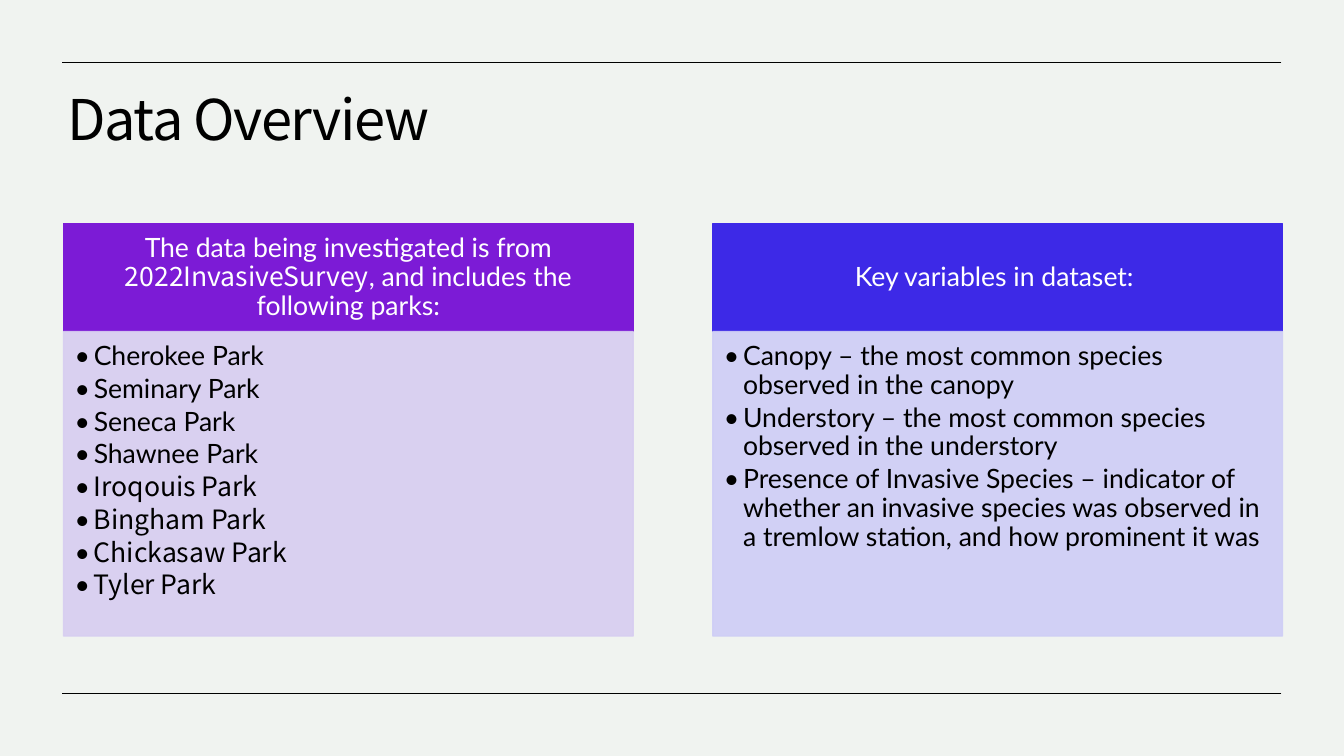
import pptx
import pptx.dml.color
import pptx.enum.shapes
import pptx.enum.text
import pptx.oxml.ns
import pptx.util
from lxml import etree

Inches = pptx.util.Inches
Pt = pptx.util.Pt
RGBColor = pptx.dml.color.RGBColor
PP_ALIGN = pptx.enum.text.PP_ALIGN
MSO_ANCHOR = pptx.enum.text.MSO_ANCHOR
qn = pptx.oxml.ns.qn

BACKGROUND = RGBColor(0xF0, 0xF3, 0xF0)
BLACK = RGBColor(0, 0, 0)
WHITE = RGBColor(0xFF, 0xFF, 0xFF)
PURPLE = RGBColor(0x7C, 0x1B, 0xD6)
PALE_PURPLE = RGBColor(0xD7, 0xCD, 0xF0)
BLUE = RGBColor(0x3D, 0x29, 0xE7)
PALE_BLUE = RGBColor(0xCE, 0xCD, 0xF6)
LATO = "Lato"
NOTO = "Noto Sans CJK KR"

COLUMN_WIDTH = 5.65
HEADER_TOP, HEADER_HEIGHT = 2.22, 1.07
BODY_HEIGHT = 3.02

# Each column: left, header colour, body colour, header runs, bullets
COLUMNS = [
    (0.63, PURPLE, PALE_PURPLE,
     [("The data being investigated is from ", LATO),
      ("2022InvasiveSurvey", NOTO),
      (", and includes the following parks:", LATO)],
     [("Cherokee Park", LATO), ("Seminary Park", LATO),
      ("Seneca Park", LATO), ("Shawnee Park", LATO),
      ("Iroqouis Park", NOTO), ("Bingham Park", NOTO),
      ("Chickasaw Park", NOTO), ("Tyler Park", NOTO)]),
    (7.07, BLUE, PALE_BLUE,
     [("Key variables in dataset: ", LATO)],
     [("Canopy – the most common species observed in the canopy", LATO),
      ("Understory – the most common species observed in the understory", LATO),
      ("Presence of Invasive Species – indicator of whether an invasive species "
       "was observed in a tremlow station, and how prominent it was", LATO)]),
]


def add_panel(left, top, height, color, insets, anchor):
    panel = slide.shapes.add_shape(
        pptx.enum.shapes.MSO_SHAPE.RECTANGLE,
        Inches(left), Inches(top), Inches(COLUMN_WIDTH), Inches(height))
    panel.shadow.inherit = False
    panel.fill.solid()
    panel.fill.fore_color.rgb = color
    panel.line.color.rgb = color
    panel.line.width = Pt(1)
    frame = panel.text_frame
    frame.word_wrap = True
    frame.vertical_anchor = anchor
    (frame.margin_left, frame.margin_top,
     frame.margin_right, frame.margin_bottom) = map(Inches, insets)
    return panel


def add_run(paragraph, text, font, size, color):
    run = paragraph.add_run()
    run.text = text
    run.font.name = font
    run.font.size = Pt(size)
    run.font.color.rgb = color
    return run


prs = pptx.Presentation()
prs.slide_width = Inches(13.33)
prs.slide_height = Inches(7.5)
slide = prs.slides.add_slide(prs.slide_layouts[6])
slide.background.fill.solid()
slide.background.fill.fore_color.rgb = BACKGROUND

title = slide.shapes.add_textbox(Inches(0.57), Inches(0.86), Inches(12.15), Inches(1.15))
title.text_frame.word_wrap = True
title_line = title.text_frame.paragraphs[0]
title_line.line_spacing = 0.9
title_run = add_run(title_line, "Data Overview", NOTO, 40, BLACK)
title_run.font._element.set("spc", "-100")

for rule_y in (0.62, 6.88):
    rule = slide.shapes.add_connector(
        pptx.enum.shapes.MSO_CONNECTOR.STRAIGHT,
        Inches(12.71), Inches(rule_y), Inches(0.62), Inches(rule_y))
    rule.line.color.rgb = BLACK
    rule.line.width = Pt(0.5)
    etree.SubElement(rule._element.spPr, qn("a:effectLst"))

for left, header_color, body_color, header_runs, bullets in COLUMNS:
    header = add_panel(left, HEADER_TOP, HEADER_HEIGHT, header_color,
                       (0.15, 0.08, 0.15, 0.08), MSO_ANCHOR.MIDDLE)
    heading = header.text_frame.paragraphs[0]
    heading.alignment = PP_ALIGN.CENTER
    heading.line_spacing = 0.9
    for text, font in header_runs:
        add_run(heading, text, font, 19, WHITE)

    body = add_panel(left, HEADER_TOP + HEADER_HEIGHT, BODY_HEIGHT, body_color,
                     (0.11, 0.11, 0.15, 0.17), MSO_ANCHOR.TOP)
    for color_element in body._element.spPr.iter(qn("a:srgbClr")):
        etree.SubElement(color_element, qn("a:alpha"), val="90000")
    frame = body.text_frame
    for index, (text, font) in enumerate(bullets):
        item = frame.add_paragraph() if index else frame.paragraphs[0]
        item.alignment = PP_ALIGN.LEFT
        item.line_spacing = 0.9
        item.space_after = Pt(2.85)
        properties = item._p.get_or_add_pPr()
        properties.set("marL", str(Inches(0.19)))
        properties.set("indent", str(Inches(-0.19)))
        etree.SubElement(properties, qn("a:buFont"), typeface=LATO)
        etree.SubElement(properties, qn("a:buChar"), char="•")
        add_run(item, text, font, 19, BLACK)

prs.save("out.pptx")
